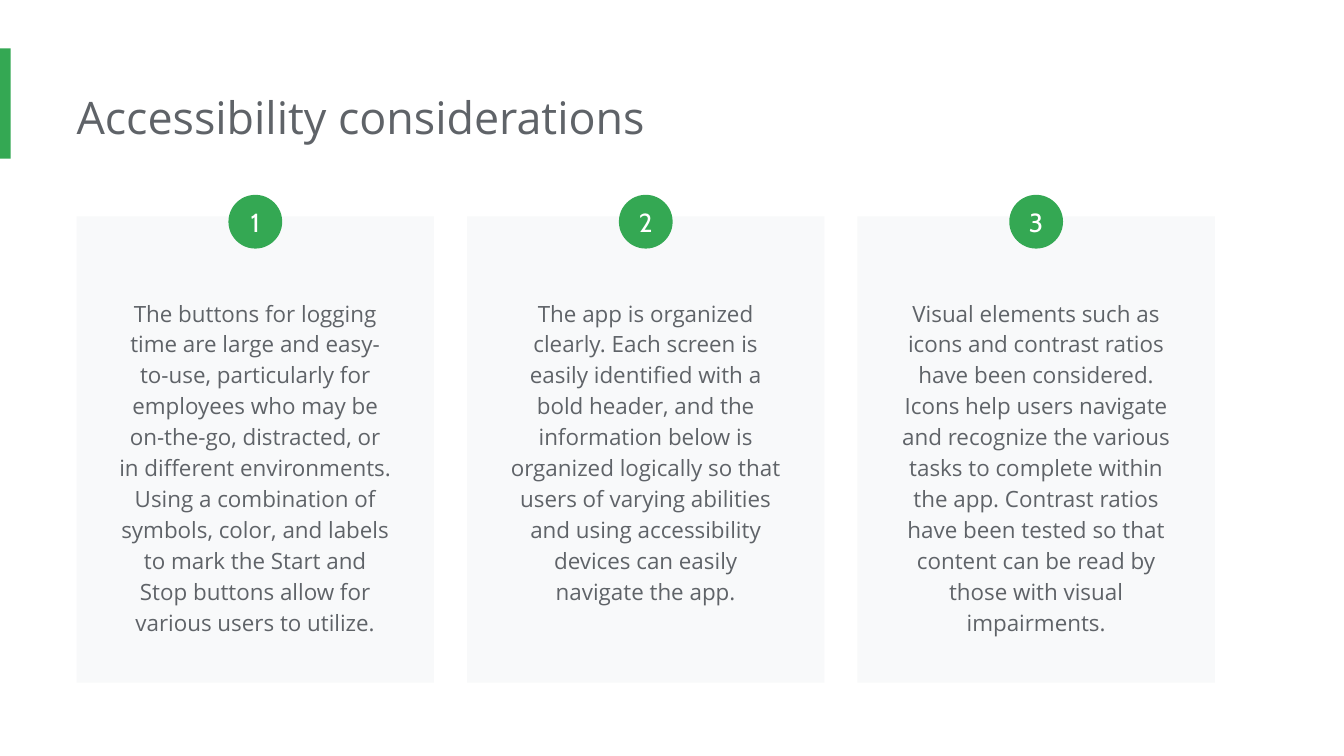
from dataclasses import dataclass

from pptx import Presentation
from pptx.dml.color import RGBColor
from pptx.enum import shapes, text
from pptx.util import Inches, Pt


@dataclass(frozen=True)
class Theme:
    green: str = "34A853"
    panel: str = "F8F9FA"
    ink: str = "5F6368"
    white: str = "FFFFFF"
    font: str = "Open Sans"
    digit: str = "Cabin"
    head: int = 24
    badge: int = 14
    body: int = 12


THEME = Theme()
TITLE = "Accessibility considerations"
POINTS = [
    "The buttons for logging time are large and easy-to-use, particularly for "
    "employees who may be on-the-go, distracted, or in different environments. "
    "Using a combination of symbols, color, and labels to mark the Start and "
    "Stop buttons allow for various users to utilize.",
    "The app is organized clearly. Each screen is easily identified with a bold "
    "header, and the information below is organized logically so that users of "
    "varying abilities and using accessibility devices can easily navigate the app.",
    "Visual elements such as icons and contrast ratios have been considered. "
    "Icons help users navigate and recognize the various tasks to complete within "
    "the app. Contrast ratios have been tested so that content can be read by "
    "those with visual impairments.",
]


def add_shape(slide, kind, box, color):
    shape = slide.shapes.add_shape(kind, *map(Inches, box))
    shape.shadow.inherit = False
    shape.fill.solid()
    shape.fill.fore_color.rgb = RGBColor.from_string(color)
    shape.line.fill.background()
    return shape


def set_text(shape, words, font, size, color, inset, align, spacing=None):
    """Inset is left, top, right, bottom in inches."""
    frame = shape.text_frame
    frame.word_wrap = True
    (frame.margin_left, frame.margin_top,
     frame.margin_right, frame.margin_bottom) = map(Inches, inset)
    frame.text = words
    para = frame.paragraphs[0]
    para.alignment = align
    if spacing:
        para.line_spacing = spacing
    face = para.runs[0].font
    face.name, face.size = font, Pt(size)
    face.color.rgb = RGBColor.from_string(color)


def add_header(slide, x, y, w, h):
    """Place the title, with the accent bar at the slide's left edge."""
    add_shape(slide, shapes.MSO_SHAPE.RECTANGLE, (0, y - 0.21, 0.08, 0.82), THEME.green)
    title = slide.shapes.add_textbox(*map(Inches, (x, y, w, h)))
    set_text(title, TITLE, THEME.font, THEME.head, THEME.ink,
             (0, 0.1, 0.1, 0.1), text.PP_ALIGN.LEFT)


def add_card(slide, x, y, w, h, number, words):
    """Place a panel with a numbered badge across its top edge."""
    add_shape(slide, shapes.MSO_SHAPE.RECTANGLE, (x, y, w, h), THEME.panel)
    size, pad = 0.4, 0.21
    badge = add_shape(slide, shapes.MSO_SHAPE.OVAL,
                      (x + (w - size) / 2, y - 0.16, size, size), THEME.green)
    set_text(badge, str(number), THEME.digit, THEME.badge, THEME.white,
             (0, 0, 0, 0), text.PP_ALIGN.CENTER)
    badge.text_frame.vertical_anchor = text.MSO_ANCHOR.MIDDLE
    body = slide.shapes.add_textbox(
        *map(Inches, (x + pad, y + 0.49, w - 2 * pad, 2.76)))
    set_text(body, words, THEME.font, THEME.body, THEME.ink,
             (0.1, 0.1, 0.1, 0.1), text.PP_ALIGN.CENTER, 1.15)


def add_cards(slide, x, y, w, h):
    """Spread the cards evenly over the box."""
    card = 2.66
    step = (w - card) / (len(POINTS) - 1)
    for i, words in enumerate(POINTS):
        add_card(slide, x + i * step, y, card, h, i + 1, words)


def main():
    deck = Presentation()
    deck.slide_width = Inches(10)
    deck.slide_height = Inches(10 * 9 / 16)
    slide = deck.slides.add_slide(deck.slide_layouts[6])
    add_header(slide, 0.57, 0.57, 7.66, 0.61)
    add_cards(slide, 0.57, 1.61, 8.47, 3.47)
    deck.save("out.pptx")


if __name__ == "__main__":
    main()
